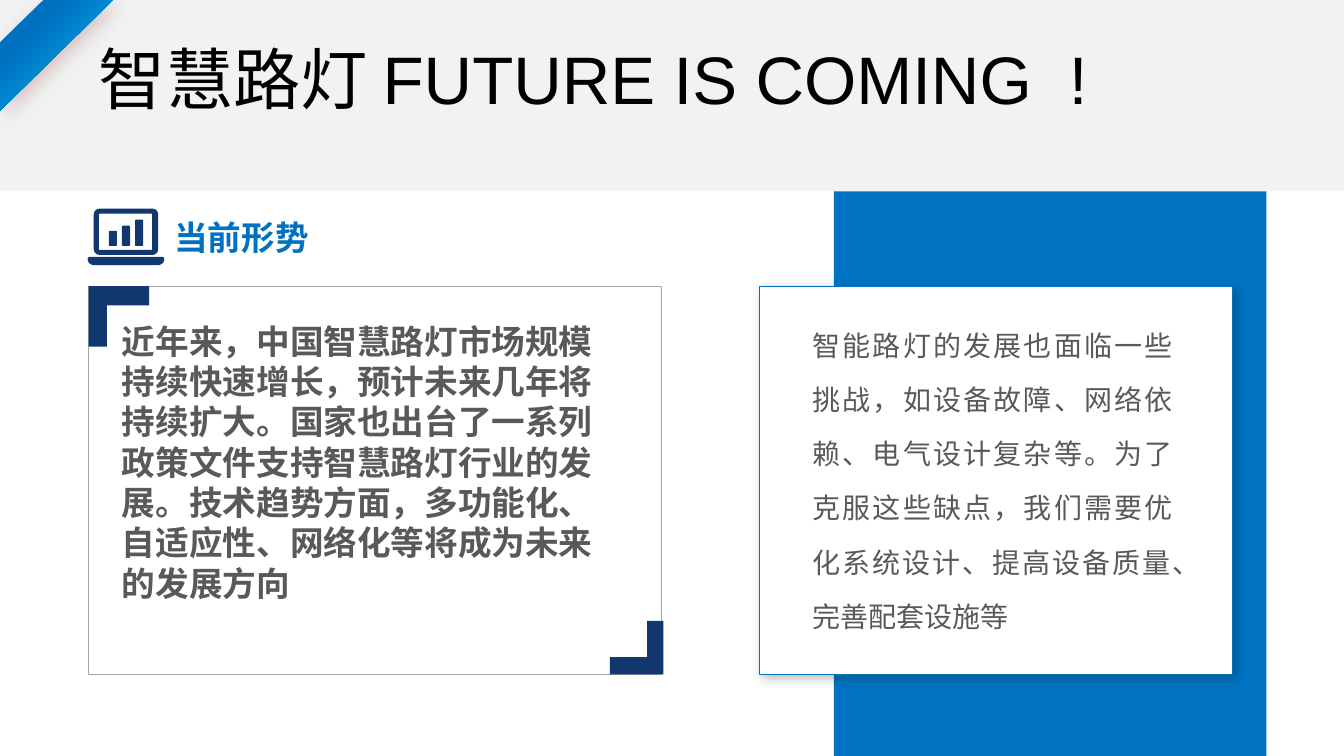
from math import cos, pi, sin

from lxml.etree import SubElement
from pptx import Presentation
from pptx.dml.color import RGBColor
from pptx.enum.shapes import MSO_SHAPE as Shape
from pptx.enum.text import MSO_ANCHOR as Anchor
from pptx.enum.text import MSO_AUTO_SIZE as AutoSize
from pptx.enum.text import PP_ALIGN as Align
from pptx.oxml.ns import qn
from pptx.util import Pt

PX = 9144
NAVY, BLUE, SKY, PANEL = "11376E", "0070C0", "00B0F0", "0074C3"
TEXT, BLACK, WHITE, PALE, GREY = "595959", "000000", "FFFFFF", "F2F2F2", "A6A6A6"
LATIN, CJK = "Arial", "Noto Sans CJK SC"

TITLE = "智慧路灯 FUTURE IS COMING  !"
HEADING = "当前形势"
SITUATION = (
    "近年来，中国智慧路灯市场规模持续快速增长，预计未来几年将持续扩大。"
    "国家也出台了一系列政策文件支持智慧路灯行业的发展。"
    "技术趋势方面，多功能化、自适应性、网络化等将成为未来的发展方向"
)
CHALLENGES = (
    "智能路灯的发展也面临一些挑战，如设备故障、网络依赖、电气设计复杂等。"
    "为了克服这些缺点，我们需要优化系统设计、提高设备质量、完善配套设施等"
)


def color(value):
    return RGBColor.from_string(value)


def emu(*lengths):
    return [round(length * PX) for length in lengths]


def paint(shape, fill=None, line=None):
    shape.shadow.inherit = False
    if fill:
        shape.fill.solid()
        shape.fill.fore_color.rgb = color(fill)
    else:
        shape.fill.background()
    if line:
        shape.line.color.rgb = color(line)
        shape.line.width = Pt(0.75)
    else:
        shape.line.fill.background()


def add_panel(shapes, frame, fill=None, line=None, kind=Shape.RECTANGLE):
    panel = shapes.add_shape(kind, *emu(*frame))
    paint(panel, fill, line)
    return panel


def add_outline(shapes, contours, fill):
    first, *others = contours
    builder = shapes.build_freeform(*emu(*first[0]), scale=1)
    builder.add_line_segments([emu(*point) for point in first[1:]], close=True)
    for contour in others:
        builder.move_to(*emu(*contour[0]))
        builder.add_line_segments([emu(*point) for point in contour[1:]], close=True)
    outline = builder.convert_to_shape()
    paint(outline, fill)
    return outline


def rounded(left, top, right, bottom, top_radius, bottom_radius):
    corners = [
        (right - bottom_radius, bottom - bottom_radius, bottom_radius),
        (left + bottom_radius, bottom - bottom_radius, bottom_radius),
        (left + top_radius, top + top_radius, top_radius),
        (right - top_radius, top + top_radius, top_radius),
    ]
    return [
        (x + radius * cos(angle), y + radius * sin(angle))
        for quarter, (x, y, radius) in enumerate(corners)
        for angle in [(quarter + step / 6) * pi / 2 for step in range(7)]
    ]


def add_laptop(shapes):
    bars = [rounded(108 + 13 * i, top, 116 + 13 * i, 244, 1, 1)
            for i, top in enumerate((229, 224, 218))]
    base = rounded(87, 255, 163, 263, 2, 6)
    lid = rounded(93, 207, 157, 253, 6, 6)
    screen = rounded(98, 212, 151, 248, 1, 1)
    add_outline(shapes, [base, lid, screen, *bars], NAVY)


def add_bracket(shapes, x, y, length, across, down):
    end_x, end_y = x + length, y + length
    inner_x, inner_y = x + across, y + down
    points = [(x, y), (end_x, y), (end_x, inner_y),
              (inner_x, inner_y), (inner_x, end_y), (x, end_y)]
    add_outline(shapes, [points], NAVY)


def add_shadow(shape, value, alpha, blur, distance):
    effects = shape.element.spPr.find(qn("a:effectLst"))
    shadow = SubElement(effects, qn("a:outerShdw"), blurRad=str(Pt(blur)),
                        dist=str(Pt(distance)), dir="2700000", rotWithShape="0")
    tint = SubElement(shadow, qn("a:srgbClr"), val=value)
    SubElement(tint, qn("a:alpha"), val=str(alpha * 1000))


def add_ribbon(shapes):
    ribbon = add_outline(shapes, [[(43, 0), (112, 0), (0, 110), (0, 42)]], BLUE)
    ribbon.fill.gradient()
    ribbon.fill.gradient_angle = 315
    for stop, value, position in zip(ribbon.fill.gradient_stops, (BLUE, SKY), (0.26, 0.91)):
        stop.color.rgb = color(value)
        stop.position = position
    add_shadow(ribbon, "6E0000", 20, 14, 5)


def write(box, frame, text, size, value, bold=False, font=LATIN,
          align=Align.LEFT, spacing=1.0):
    box.left, box.top, box.width, box.height = emu(*frame)
    content = box.text_frame
    content.text = text
    content.word_wrap = True
    content.auto_size = AutoSize.NONE
    content.vertical_anchor = Anchor.TOP
    para = content.paragraphs[0]
    para.alignment = align
    para.line_spacing = spacing
    para.space_before = Pt(0)
    span = para.runs[0]
    span.font.size = Pt(size)
    span.font.bold = bold
    span.font.name = font
    span.font.color.rgb = color(value)
    SubElement(span.font._element, qn("a:ea"), typeface=CJK)
    return para


def add_text(shapes, frame, *args, **style):
    write(shapes.add_textbox(*emu(*frame)), frame, *args, **style)


def remove_bullet(para):
    properties = para._p.get_or_add_pPr()
    properties.set("marL", "0")
    properties.set("indent", "0")
    SubElement(properties, qn("a:buNone"))


def main():
    deck = Presentation()
    deck.slide_width, deck.slide_height = emu(1333, 750)
    page = deck.slides.add_slide(deck.slide_layouts[1])
    shapes = page.shapes
    title, body = page.placeholders

    add_panel(shapes, (0, 0, 1333, 190), PALE)
    add_ribbon(shapes)
    add_laptop(shapes)
    add_panel(shapes, (88, 284, 568, 385), line=GREY)
    add_bracket(shapes, 88, 284, 60, 18, 19)
    add_bracket(shapes, 658, 669, -53, -16, -17)

    group = shapes.add_group_shape().shapes
    add_panel(group, (827, 190, 429, 560), PANEL)
    card = add_panel(group, (753, 284, 469, 385), WHITE, PANEL, Shape.ROUNDED_RECTANGLE)
    card.adjustments[0] = 0
    add_shadow(card, BLACK, 25, 8, 3)

    add_text(shapes, (796, 301, 377, 389), CHALLENGES, 20, TEXT,
             align=Align.JUSTIFY, spacing=Pt(38.6))
    add_text(shapes, (163, 210, 441, 50), HEADING, 24, BLUE, bold=True, font=CJK)
    situation = write(body, (111, 313, 513, 325), SITUATION, 24, TEXT,
                      bold=True, spacing=Pt(28.8))
    remove_bullet(situation)
    write(title, (88, 41, 1057, 122), TITLE, 48, BLACK, spacing=0.9)
    for holder in (body, title):
        shapes.element.append(holder.element)

    deck.save("out.pptx")


if __name__ == "__main__":
    main()
